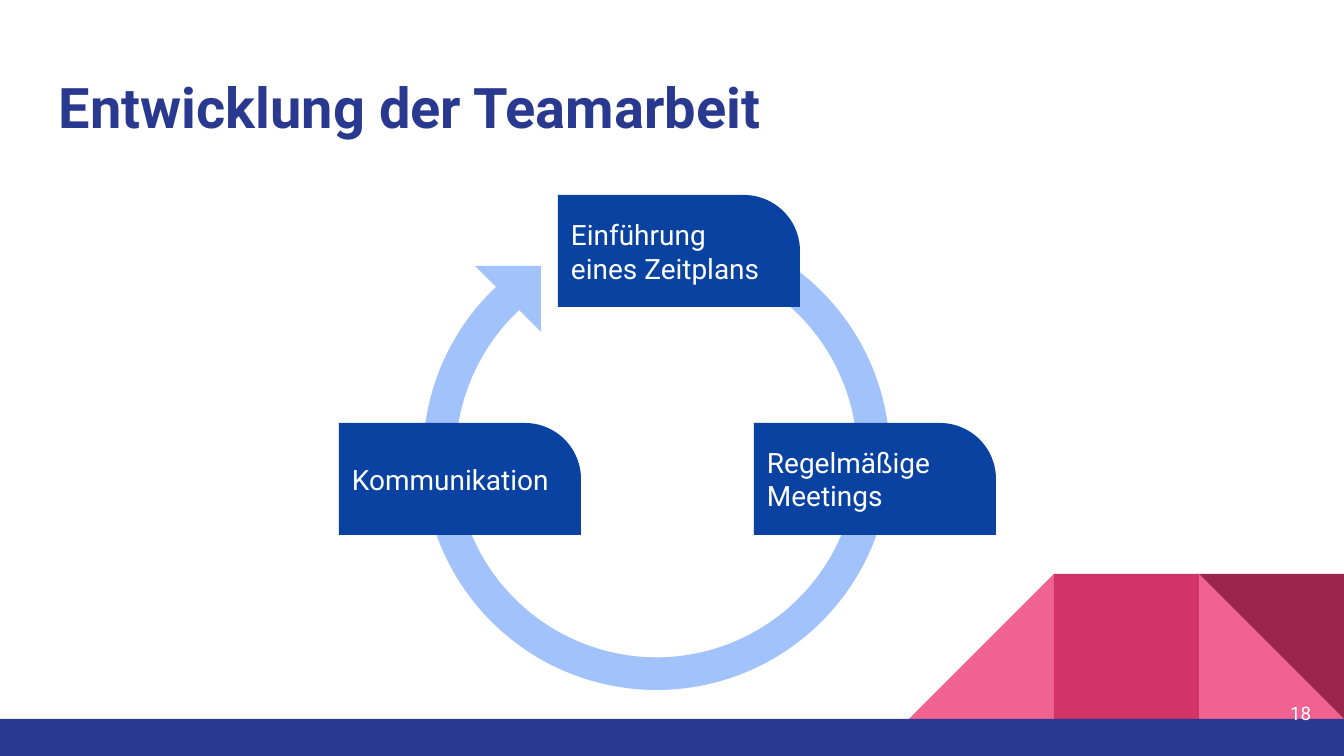
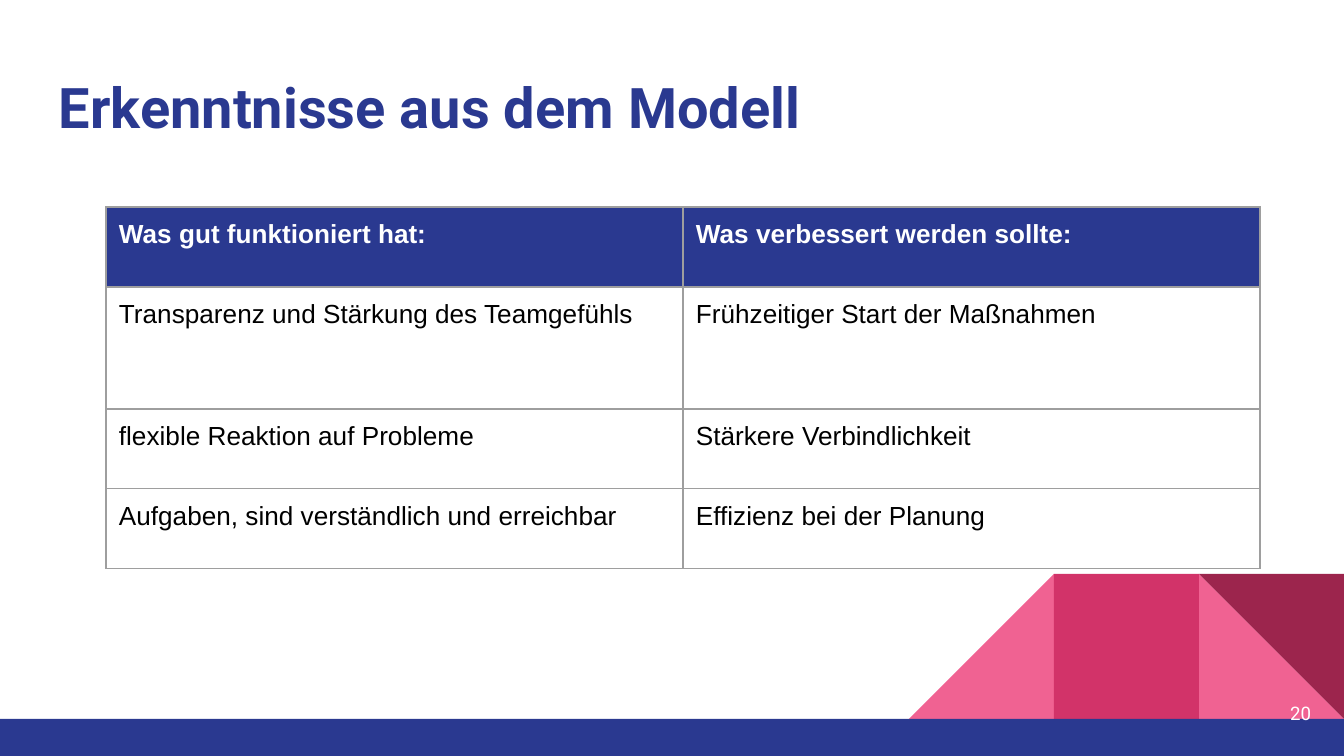
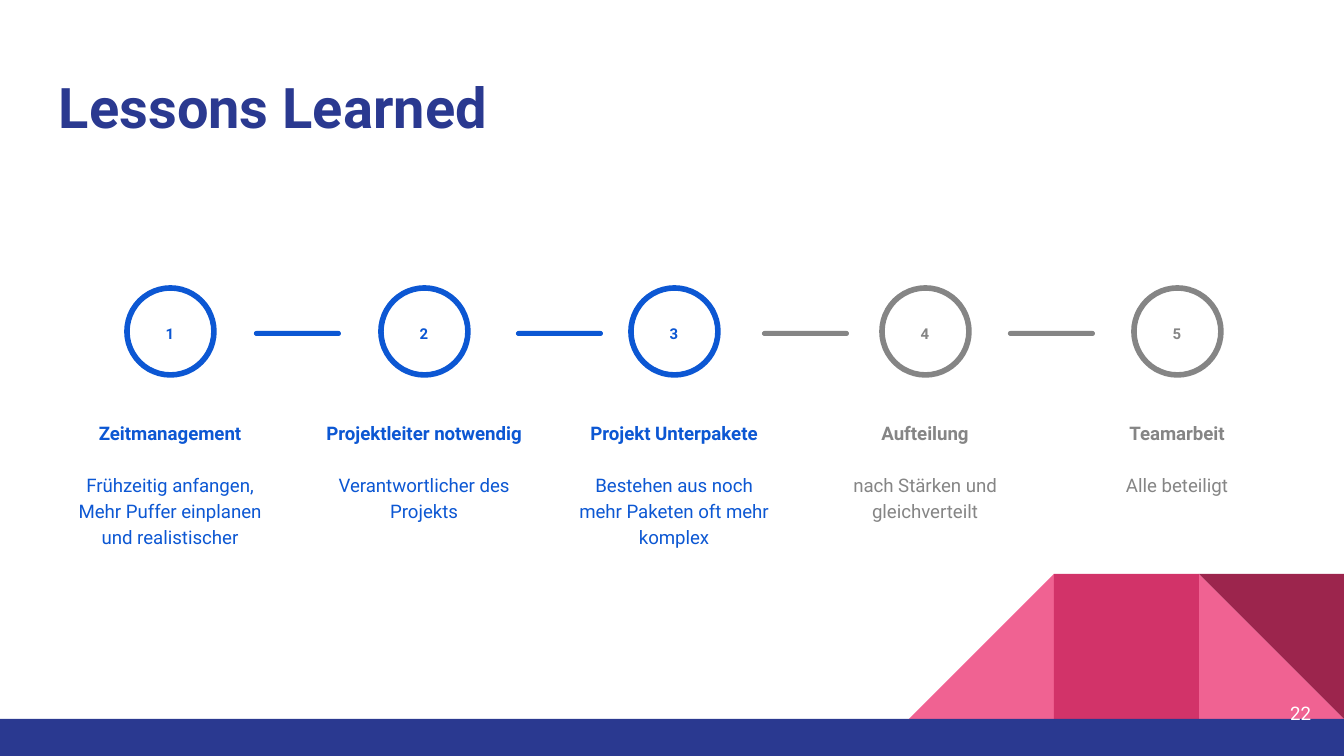
from lxml.etree import SubElement
from pptx import Presentation
from pptx.dml.color import RGBColor
from pptx.enum.shapes import MSO_SHAPE as SHAPE
from pptx.enum.text import MSO_ANCHOR as ANCHOR, PP_ALIGN as ALIGN
from pptx.oxml.ns import qn
from pptx.util import Pt

SCALE = 914400 / 134.4
WIDTH, HEIGHT = 1344, 756
INSET = 13

NAVY, WHITE, BLACK = "2A3990", "FFFFFF", "000000"
PINK, MAGENTA, WINE = "F06292", "D23369", "9C254D"
CYCLE_BLUE, CYCLE_LIGHT = "0942A1", "A1C2FA"
STEP_BLUE, STEP_GREY = "0C57D3", "858585"
BORDER = "9E9E9E"

TILE, TILE_TOP = 145, 574
BAND_TOP = TILE_TOP + TILE
TILES = [
    (1, SHAPE.RIGHT_TRIANGLE, 0, PINK),
    (3, SHAPE.RIGHT_TRIANGLE, 270, PINK),
    (2, SHAPE.RECTANGLE, 0, MAGENTA),
    (1, SHAPE.RIGHT_TRIANGLE, 180, WINE),
]

CYCLE_CARDS = [
    ("Einführung eines Zeitplans", 558, 195),
    ("Regelmäßige Meetings", 754, 423),
    ("Kommunikation", 339, 423),
]
CARD_SIZE = (242, 112)
RING = (423, 223, 467, 467)
ARROW_TIP = (475, 266, 66, 66)

FINDINGS = [
    ("Was gut funktioniert hat:", "Was verbessert werden sollte:"),
    ("Transparenz und Stärkung des Teamgefühls", "Frühzeitiger Start der Maßnahmen"),
    ("flexible Reaktion auf Probleme", "Stärkere Verbindlichkeit"),
    ("Aufgaben, sind verständlich und erreichbar", "Effizienz bei der Planung"),
]
TABLE_LEFT, TABLE_TOP, COLUMN_WIDTH = 106, 207, 577
ROW_HEIGHTS = [80, 122, 80, 80]

LESSONS = [
    ("Zeitmanagement", "Frühzeitig anfangen, Mehr Puffer einplanen und realistischer", 170, STEP_BLUE),
    ("Projektleiter notwendig", "Verantwortlicher des Projekts", 424, STEP_BLUE),
    ("Projekt Unterpakete", "Bestehen aus noch mehr Paketen oft mehr komplex", 674, STEP_BLUE),
    ("Aufteilung", "nach Stärken und gleichverteilt", 925, STEP_GREY),
    ("Teamarbeit", "Alle beteiligt", 1177, STEP_GREY),
]
DASHES = [(254, STEP_BLUE), (516, STEP_BLUE), (762, STEP_GREY), (1008, STEP_GREY)]
CIRCLE, CIRCLE_TOP = 87, 288
NUMBER_WIDTH, LESSON_WIDTH = 64, 226


def px(n):
    return round(n * SCALE)


def rgb(color):
    return RGBColor.from_string(color)


def write(tf, text, size, color, bold=False, font="Roboto", align=ALIGN.LEFT,
          anchor=ANCHOR.TOP, spacing=None, after=None):
    tf.word_wrap = True
    tf.vertical_anchor = anchor
    tf.margin_left = tf.margin_right = tf.margin_top = tf.margin_bottom = px(INSET)
    p = tf.paragraphs[0]
    p.text = text
    p.alignment = align
    p.line_spacing = spacing
    if after:
        p.space_after = Pt(after)
    p.font.name, p.font.size, p.font.bold = font, Pt(size), bold
    p.font.color.rgb = rgb(color)


def add_text(s, box, text, size, color, **style):
    write(s.shapes.add_textbox(*map(px, box)).text_frame, text, size, color, **style)


def add_shape(s, kind, box, fill=None, line=None, rotation=0, adjust=()):
    sp = s.shapes.add_shape(kind, *map(px, box))
    sp.shadow.inherit = False
    sp.rotation = rotation
    for i, value in enumerate(adjust):
        sp.adjustments[i] = value
    if fill:
        sp.fill.solid()
        sp.fill.fore_color.rgb = rgb(fill)
    else:
        sp.fill.background()
    if line:
        sp.line.color.rgb = rgb(line)
        sp.line.width = Pt(3)
    else:
        sp.line.fill.background()
    return sp


def add_slide(prs, title, number, draw):
    s = prs.slides.add_slide(prs.slide_layouts[6])
    for from_right, kind, rotation, color in TILES:
        add_shape(s, kind, (WIDTH - from_right * TILE, TILE_TOP, TILE, TILE), color, rotation=rotation)
    add_shape(s, SHAPE.RECTANGLE, (0, BAND_TOP, WIDTH, HEIGHT - BAND_TOP), NAVY)
    add_text(s, (46, 60, 1253, 89), title, 30, NAVY, bold=True)
    draw(s)
    add_text(s, (1243, 684, 81, 58), str(number), 10, WHITE, align=ALIGN.RIGHT, anchor=ANCHOR.MIDDLE)


def draw_cycle(s):
    add_shape(s, SHAPE.BLOCK_ARC, RING, CYCLE_LIGHT, rotation=180, adjust=(54, 30.13, 0.07))
    add_shape(s, SHAPE.RIGHT_TRIANGLE, ARROW_TIP, CYCLE_LIGHT, rotation=180)
    for text, x, y in CYCLE_CARDS:
        card = add_shape(s, SHAPE.ROUND_1_RECTANGLE, (x, y, *CARD_SIZE), CYCLE_BLUE, adjust=(0.5,))
        write(card.text_frame, text, 15, WHITE, anchor=ANCHOR.MIDDLE)


def add_borders(cell):
    tc_pr = cell._tc.get_or_add_tcPr()
    for side in ("lnL", "lnR", "lnT", "lnB"):
        ln = SubElement(tc_pr, qn(f"a:{side}"), w=str(Pt(0.75)))
        SubElement(SubElement(ln, qn("a:solidFill")), qn("a:srgbClr"), val=BORDER)


def draw_findings(s):
    columns = len(FINDINGS[0])
    box = (TABLE_LEFT, TABLE_TOP, columns * COLUMN_WIDTH, sum(ROW_HEIGHTS))
    table = s.shapes.add_table(len(FINDINGS), columns, *map(px, box)).table
    table.first_row = table.horz_banding = False
    for column in table.columns:
        column.width = px(COLUMN_WIDTH)
    for r, (texts, height) in enumerate(zip(FINDINGS, ROW_HEIGHTS)):
        table.rows[r].height = px(height)
        header = r == 0
        for c, text in enumerate(texts):
            cell = table.cell(r, c)
            cell.margin_left = cell.margin_right = cell.margin_top = cell.margin_bottom = px(INSET)
            add_borders(cell)
            if header:
                cell.fill.solid()
                cell.fill.fore_color.rgb = rgb(NAVY)
            else:
                cell.fill.background()
            p = cell.text_frame.paragraphs[0]
            p.text = text
            p.font.name, p.font.size, p.font.bold = "Arial", Pt(14), header
            p.font.color.rgb = rgb(WHITE if header else BLACK)


def draw_lessons(s):
    for x, color in DASHES:
        add_shape(s, SHAPE.ROUNDED_RECTANGLE, (x, 331, 87, 5), color, adjust=(0.5,))
    centred = {"align": ALIGN.CENTER, "spacing": 1.15}
    for number, (name, detail, center, color) in enumerate(LESSONS, 1):
        left = center - LESSON_WIDTH // 2
        add_shape(s, SHAPE.OVAL, (center - CIRCLE // 2, CIRCLE_TOP, CIRCLE, CIRCLE), line=color)
        add_text(s, (center - NUMBER_WIDTH // 2, 312, NUMBER_WIDTH, 47), str(number), 8, color,
                 bold=True, after=16, **centred)
        add_text(s, (left, 391, LESSON_WIDTH, 66), name, 10, color,
                 bold=True, anchor=ANCHOR.BOTTOM, **centred)
        add_text(s, (left, 458, LESSON_WIDTH, 109), detail, 10, color, after=16, **centred)


def main():
    prs = Presentation()
    prs.slide_width, prs.slide_height = px(WIDTH), px(HEIGHT)
    add_slide(prs, "Entwicklung der Teamarbeit", 18, draw_cycle)
    add_slide(prs, "Erkenntnisse aus dem Modell", 20, draw_findings)
    add_slide(prs, "Lessons Learned", 22, draw_lessons)
    prs.save("out.pptx")


if __name__ == "__main__":
    main()
